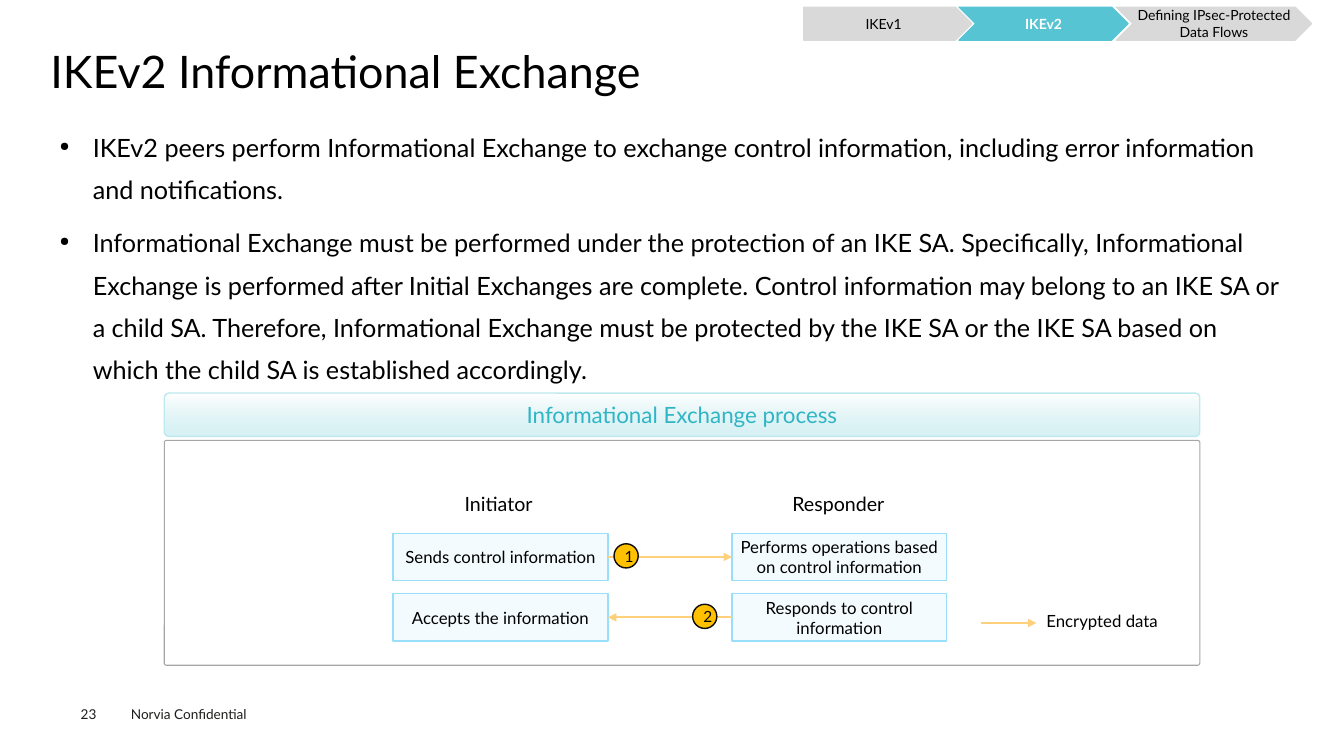
import pptx
import pptx.util
import pptx.dml.color
import pptx.enum.shapes
import pptx.enum.text
import pptx.oxml
import pptx.oxml.ns
from lxml import etree

Inches = pptx.util.Inches
Pt = pptx.util.Pt
PRESET = pptx.enum.shapes.MSO_SHAPE
ALIGN = pptx.enum.text.PP_ALIGN
ANCHOR = pptx.enum.text.MSO_ANCHOR
AUTO_SIZE = pptx.enum.text.MSO_AUTO_SIZE

FONT = "Lato"
BLACK = "000000"
GREY = "D9D9D9"
TEAL = "56C4D2"
PALE_TEAL = "BEE9EE"
ARROW = "FFD17D"
TEXT_INSETS = (0.1, 0.05, 0.1, 0.05)
NO_INSETS = (0, 0, 0, 0)

STATEMENTS = [
    "IKEv2 peers perform Informational Exchange to exchange control information, "
    "including error information and notifications.",
    "Informational Exchange must be performed under the protection of an IKE SA. "
    "Specifically, Informational Exchange is performed after Initial Exchanges are complete. "
    "Control information may belong to an IKE SA or a child SA. Therefore, Informational "
    "Exchange must be protected by the IKE SA or the IKE SA based on which the child SA is "
    "established accordingly.",
]
STEPS = [
    ["Sends control information", "Performs operations based on control information"],
    ["Accepts the information", "Responds to control information"],
]
INITIATOR_X, RESPONDER_X = 3.9, 7.26
STEP_WIDTH, STEP_HEIGHT = 2.13, 0.47
STEP_TOP, STEP_PITCH = 5.29, 0.6


def colour(value):
    return pptx.dml.color.RGBColor.from_string(value)


def set_insets(frame, insets):
    frame.margin_left, frame.margin_top, frame.margin_right, frame.margin_bottom = map(Inches, insets)


def write(paragraph, text, size, ink=BLACK, bold=False):
    run = paragraph.add_run()
    run.text = text
    run.font.name = FONT
    run.font.size = Pt(size)
    run.font.bold = bold
    run.font.color.rgb = colour(ink)


def add_text(slide, box, text, size, ink=BLACK, insets=TEXT_INSETS, wrap=True, spacing=None):
    frame = slide.shapes.add_textbox(*map(Inches, box)).text_frame
    frame.word_wrap = wrap
    frame.auto_size = AUTO_SIZE.NONE if wrap else AUTO_SIZE.SHAPE_TO_FIT_TEXT
    set_insets(frame, insets)
    paragraph = frame.paragraphs[0]
    if spacing:
        paragraph.line_spacing = spacing
    write(paragraph, text, size, ink)


def add_bullets(slide, box, statements):
    frame = slide.shapes.add_textbox(*map(Inches, box)).text_frame
    frame.word_wrap = True
    set_insets(frame, (0.09, 0.04, 0.09, 0.04))
    for index, statement in enumerate(statements):
        paragraph = frame.add_paragraph() if index else frame.paragraphs[0]
        paragraph.line_spacing = 1.4
        paragraph.space_before = Pt(7.9)
        write(paragraph, statement, 18)
        properties = paragraph._p.get_or_add_pPr()
        properties.set("marL", str(Inches(0.33)))
        properties.set("indent", str(Inches(-0.33)))
        etree.SubElement(properties, pptx.oxml.ns.qn("a:buSzPct")).set("val", "50000")
        etree.SubElement(properties, pptx.oxml.ns.qn("a:buChar")).set("char", "●")


def add_block(slide, preset, box, fill, outline, width=1, text="", size=12, ink=BLACK,
              bold=False, insets=NO_INSETS, rounding=None):
    block = slide.shapes.add_shape(preset, *map(Inches, box))
    block.shadow.inherit = False
    if rounding is not None:
        block.adjustments[0] = rounding
    if fill:
        block.fill.solid()
        block.fill.fore_color.rgb = colour(fill)
    else:
        block.fill.background()
    block.line.color.rgb = colour(outline)
    block.line.width = Pt(width)
    frame = block.text_frame
    frame.word_wrap = True
    frame.vertical_anchor = ANCHOR.MIDDLE
    set_insets(frame, insets)
    if text:
        frame.paragraphs[0].alignment = ALIGN.CENTER
        write(frame.paragraphs[0], text, size, ink, bold)
    return block


def fade_down(block, start, end, opacity):
    block.fill.gradient()
    block.fill.gradient_angle = 270
    first, last = block.fill.gradient_stops
    first.position, last.position = 0, 1
    first.color.rgb, last.color.rgb = colour(start), colour(end)
    tint = block._element.spPr.findall(".//" + pptx.oxml.ns.qn("a:srgbClr"))[1]
    etree.SubElement(tint, pptx.oxml.ns.qn("a:alpha")).set("val", str(opacity * 1000))


def add_arrow(slide, start_x, end_x, y):
    arrow = slide.shapes.add_connector(pptx.enum.shapes.MSO_CONNECTOR.STRAIGHT,
                                       Inches(start_x), Inches(y), Inches(end_x), Inches(y))
    arrow.line.color.rgb = colour(ARROW)
    arrow.line.width = Pt(1.5)
    etree.SubElement(arrow.line._get_or_add_ln(), pptx.oxml.ns.qn("a:tailEnd")).set("type", "triangle")
    etree.SubElement(arrow._element.spPr, pptx.oxml.ns.qn("a:effectLst"))


def add_process(slide):
    banner = add_block(slide, PRESET.ROUNDED_RECTANGLE, (1.63, 3.9, 10.27, 0.43), "FFFFFF", PALE_TEAL,
                       text="Informational Exchange process", size=16, ink="30B5C5", rounding=0.106)
    fade_down(banner, "FFFFFF", PALE_TEAL, 60)
    add_block(slide, PRESET.ROUNDED_RECTANGLE, (1.63, 4.37, 10.27, 2.23), None, "A6A6A6", 0.75,
              rounding=0.009)
    add_text(slide, (4.51, 4.83, 0.91, 0.34), "Initiator", 14, wrap=False)
    add_text(slide, (7.76, 4.83, 1.14, 0.34), "Responder", 14, wrap=False)
    add_arrow(slide, 9.73, 10.28, 6.18)
    add_text(slide, (10.28, 6.01, 1.36, 0.3), "Encrypted data", 12, wrap=False)

    for row, actions in enumerate(STEPS):
        top = STEP_TOP + row * STEP_PITCH
        for left, action in zip((INITIATOR_X, RESPONDER_X), actions):
            add_block(slide, PRESET.RECTANGLE, (left, top, STEP_WIDTH, STEP_HEIGHT), "F4FBFE", "99DFF9",
                      text=action, insets=(0.04, 0.04, 0.04, 0.04))

    gap = (INITIATOR_X + STEP_WIDTH, RESPONDER_X)
    for row, (ends, badge_x) in enumerate([(gap, 6.09), (gap[::-1], 6.87)]):
        middle = STEP_TOP + row * STEP_PITCH + STEP_HEIGHT / 2
        add_arrow(slide, *ends, middle)
        add_block(slide, PRESET.OVAL, (badge_x, middle - 0.13, 0.24, 0.24), "FFC000", "0D0D0D",
                  text=str(row + 1), size=11, insets=TEXT_INSETS)


def add_chapter_trail(slide):
    chapters = [
        (PRESET.PENTAGON, 7.97, 1.67, GREY, "IKEv1", BLACK, False, 0),
        (PRESET.CHEVRON, 9.51, 1.68, TEAL, "IKEv2", "FFFFFF", True, 0),
        (PRESET.CHEVRON, 11.07, 1.94, GREY, "Defining IPsec-Protected Data Flows", BLACK, False, 0.04),
    ]
    for preset, left, width, fill, chapter, ink, bold, side in chapters:
        add_block(slide, preset, (left, 0.07, width, 0.33), fill, fill, 0.75, chapter, 10, ink, bold,
                  (side, 0, side, 0))


def main():
    deck = pptx.Presentation()
    deck.slide_width, deck.slide_height = Inches(13.33), Inches(7.5)
    slide = deck.slides.add_slide(deck.slide_layouts[6])
    add_text(slide, (1.2, 6.95, 1.6, 0.27), "Norvia Confidential", 9.7, "1D1D1B")
    add_text(slide, (0.8, 7, 0.55, 0.16), "23", 9.7, "1D1D1B", NO_INSETS)
    add_text(slide, (0.5, 0.49, 12.35, 0.54), "IKEv2 Informational Exchange", 32,
             insets=NO_INSETS, spacing=0.9)
    add_bullets(slide, (0.5, 1.15, 12.35, 5.33), STATEMENTS)
    add_process(slide)
    add_chapter_trail(slide)
    deck.save("out.pptx")


if __name__ == "__main__":
    main()
